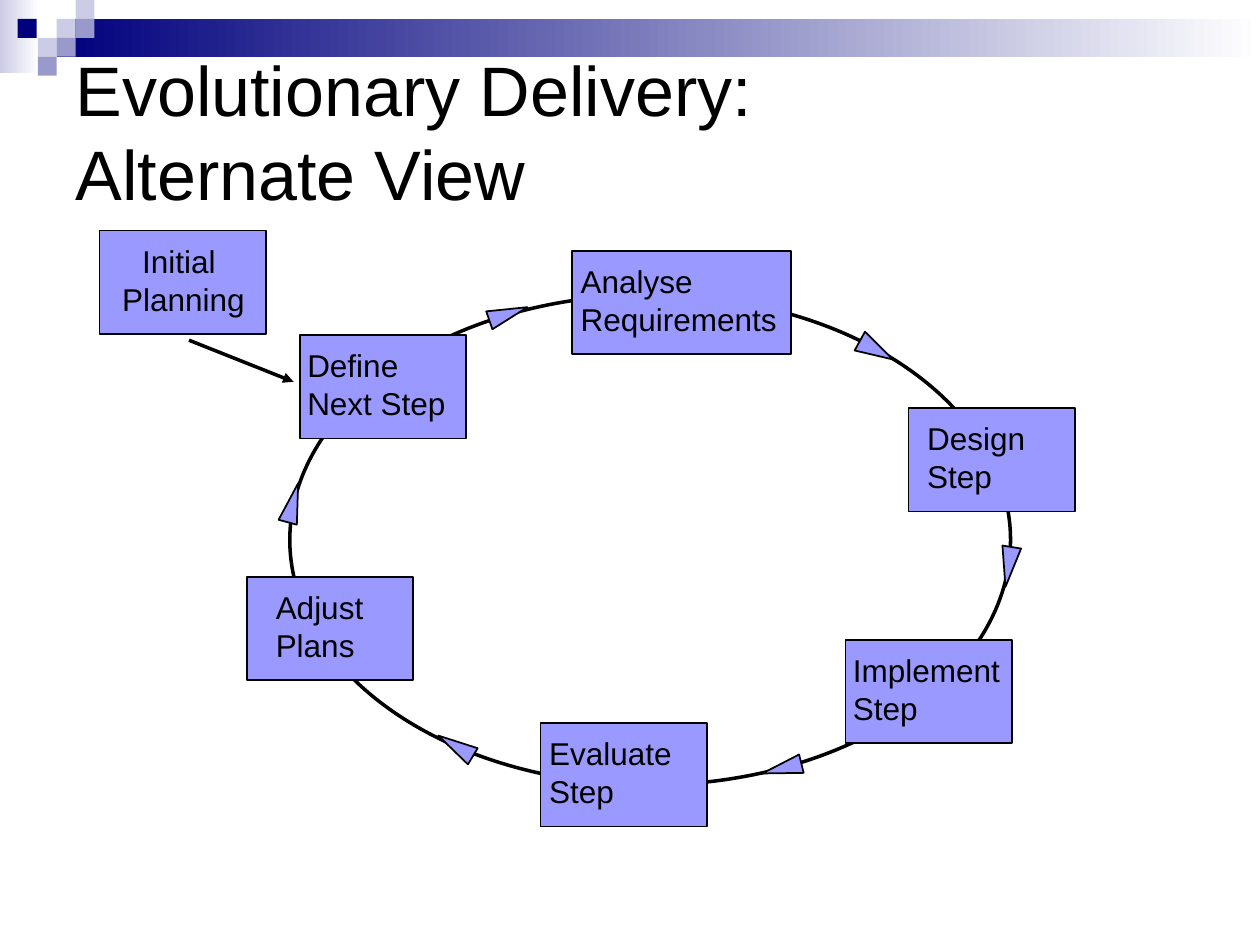
from lxml import etree
from pptx import Presentation
from pptx.dml.color import RGBColor
from pptx.enum import shapes as kinds, text as txt
from pptx.oxml.ns import qn
from pptx.util import Inches, Pt

BLACK, WHITE, PERIWINKLE = "000000", "FFFFFF", "9999FF"
NAVY, LAVENDER, SLATE = "00007D", "CCCCE6", "9999CC"

SQUARE = 0.15
SQUARES = [  # left, top, colour
    (0.45, 0.15, LAVENDER), (0.6, 0, LAVENDER), (0.6, 0.15, SLATE),
    (0.3, 0.3, LAVENDER), (0.14, 0.15, NAVY), (0.45, 0.3, SLATE),
    (0.3, 0.45, SLATE),
]

CARD_WIDTH, CARD_HEIGHT = 1.32, 0.82
LABEL_DROP, LABEL_HEIGHT = 0.04, 0.7
STEPS = [  # lines, card left, card top, card width, label left, label width
    (("Define", "Next Step"), 2.38, 2.66, CARD_WIDTH, 2.34, 1.35),
    (("Analyse", "Requirements"), 4.54, 1.99, 1.74, 4.51, 1.8),
    (("Design", "Step"), 7.21, 3.24, CARD_WIDTH, 7.26, 1.03),
    (("Implement", "Step"), 6.71, 5.08, CARD_WIDTH, 6.67, 1.42),
    (("Evaluate", "Step"), 4.29, 5.74, CARD_WIDTH, 4.26, 1.22),
    (("Adjust", "Plans"), 1.96, 4.58, CARD_WIDTH, 2.09, 0.95),
]
FLOW_MARKS = [  # left, top, width, height, rotation
    (3.96, 2.33, 0.15, 0.32, 71), (6.87, 2.63, 0.17, 0.3, 119),
    (7.93, 4.34, 0.15, 0.32, 189), (6.13, 5.94, 0.15, 0.32, 256),
    (3.54, 5.76, 0.15, 0.32, 301), (2.25, 3.83, 0.15, 0.32, 15),
]


def paint(color_format, hex_color):
    color_format.rgb = RGBColor.from_string(hex_color)


def set_all(target, **values):
    for name, value in values.items():
        setattr(target, name, value)


def format_paragraph(paragraph, size, align=txt.PP_ALIGN.LEFT):
    set_all(paragraph, alignment=align, line_spacing=1.0)
    set_all(paragraph.font, name="Arial", size=Pt(size))
    paint(paragraph.font.color, BLACK)


def add_figure(shapes, preset, box, fill=None, line_width=None):
    figure = shapes.add_shape(preset, *map(Inches, box))
    figure.shadow.inherit = False
    if fill:
        figure.fill.solid()
        paint(figure.fill.fore_color, fill)
    else:
        figure.fill.background()
    if line_width:
        paint(figure.line.color, BLACK)
        figure.line.width = Pt(line_width)
    else:
        figure.line.fill.background()
    return figure


def add_fading_band(shapes, box, color):
    """Band that fades from color at the left to white at the right."""
    fill = add_figure(shapes, kinds.MSO_SHAPE.RECTANGLE, box).fill
    fill.gradient()
    fill.gradient_angle = 180
    for stop, stop_color in zip(fill.gradient_stops, (WHITE, color)):
        paint(stop.color, stop_color)


def add_header(shapes):
    add_fading_band(shapes, (0, 0, 0.31, 0.58), LAVENDER)
    add_fading_band(shapes, (0.45, 0.15, 9.55, 0.3), NAVY)
    for left, top, color in SQUARES:
        add_figure(shapes, kinds.MSO_SHAPE.RECTANGLE,
                   (left, top, SQUARE, SQUARE), color)


def set_title(title, wording):
    set_all(title, left=Inches(0.5), top=Inches(0.5),
            width=Inches(9), height=Inches(1.25))
    frame = title.text_frame
    set_all(frame, text=wording, auto_size=txt.MSO_AUTO_SIZE.NONE,
            vertical_anchor=txt.MSO_ANCHOR.BOTTOM)
    format_paragraph(frame.paragraphs[0], 40)


def add_step(shapes, lines, left, top, width, label_left, label_width,
             align=txt.PP_ALIGN.LEFT):
    group = shapes.add_group_shape()
    add_figure(group.shapes, kinds.MSO_SHAPE.RECTANGLE,
               (left, top, width, CARD_HEIGHT), PERIWINKLE, 1)
    label = group.shapes.add_textbox(
        *map(Inches, (label_left, top + LABEL_DROP, label_width, LABEL_HEIGHT)))
    frame = label.text_frame
    set_all(frame, text="\n".join(lines), word_wrap=False,
            auto_size=txt.MSO_AUTO_SIZE.SHAPE_TO_FIT_TEXT)
    for paragraph in frame.paragraphs:
        format_paragraph(paragraph, 18, align)


def add_arrow(shapes, start, end):
    arrow = shapes.add_connector(kinds.MSO_CONNECTOR.STRAIGHT,
                                 *map(Inches, start + end))
    paint(arrow.line.color, BLACK)
    arrow.line.width = Pt(2)
    outline = arrow.line._get_or_add_ln()
    etree.SubElement(outline, qn("a:tailEnd"), type="triangle")
    etree.SubElement(outline.getparent(), qn("a:effectLst"))


def main():
    deck = Presentation()
    set_all(deck, slide_width=Inches(10), slide_height=Inches(7.5))
    slide = deck.slides.add_slide(deck.slide_layouts[5])
    shapes = slide.shapes

    add_header(shapes)
    set_title(shapes.title, "Evolutionary Delivery:\vAlternate View")
    add_figure(shapes, kinds.MSO_SHAPE.OVAL, (2.3, 2.34, 5.72, 3.89),
               line_width=2)
    for *box, rotation in FLOW_MARKS:
        mark = add_figure(shapes, kinds.MSO_SHAPE.ISOSCELES_TRIANGLE, box,
                          PERIWINKLE, 1)
        mark.rotation = rotation
    add_step(shapes, ("Initial ", "Planning"), 0.79, 1.83, CARD_WIDTH,
             0.85, 1.21, txt.PP_ALIGN.CENTER)
    add_arrow(shapes, (1.5, 2.7), (2.33, 3.03))
    for step in STEPS:
        add_step(shapes, *step)

    deck.save("out.pptx")


if __name__ == "__main__":
    main()
